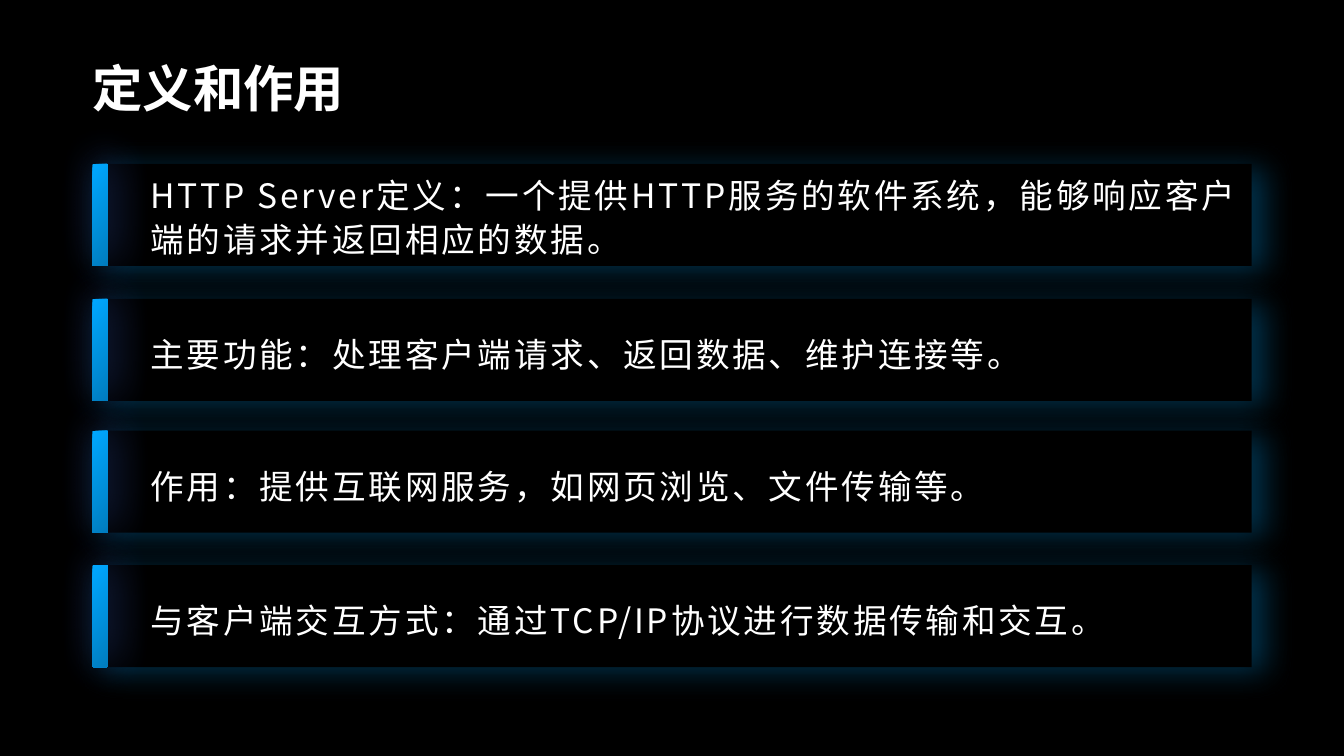
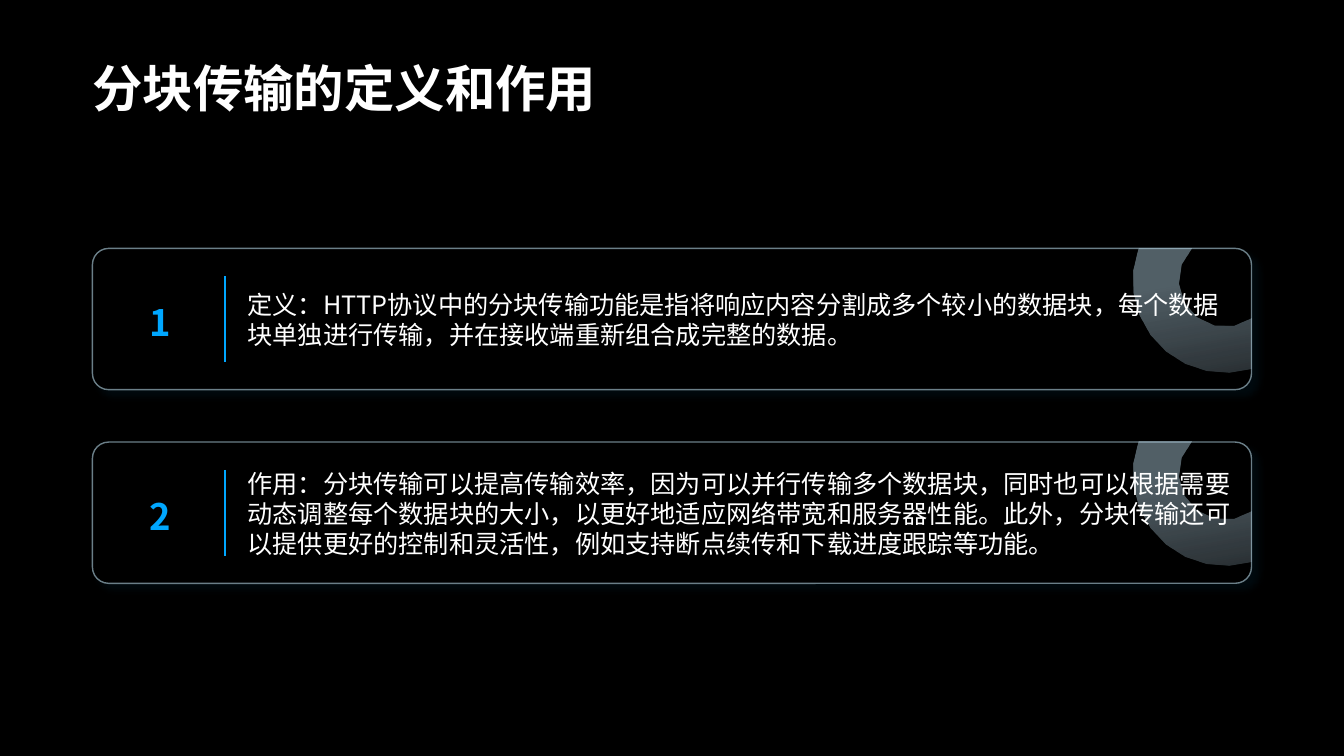
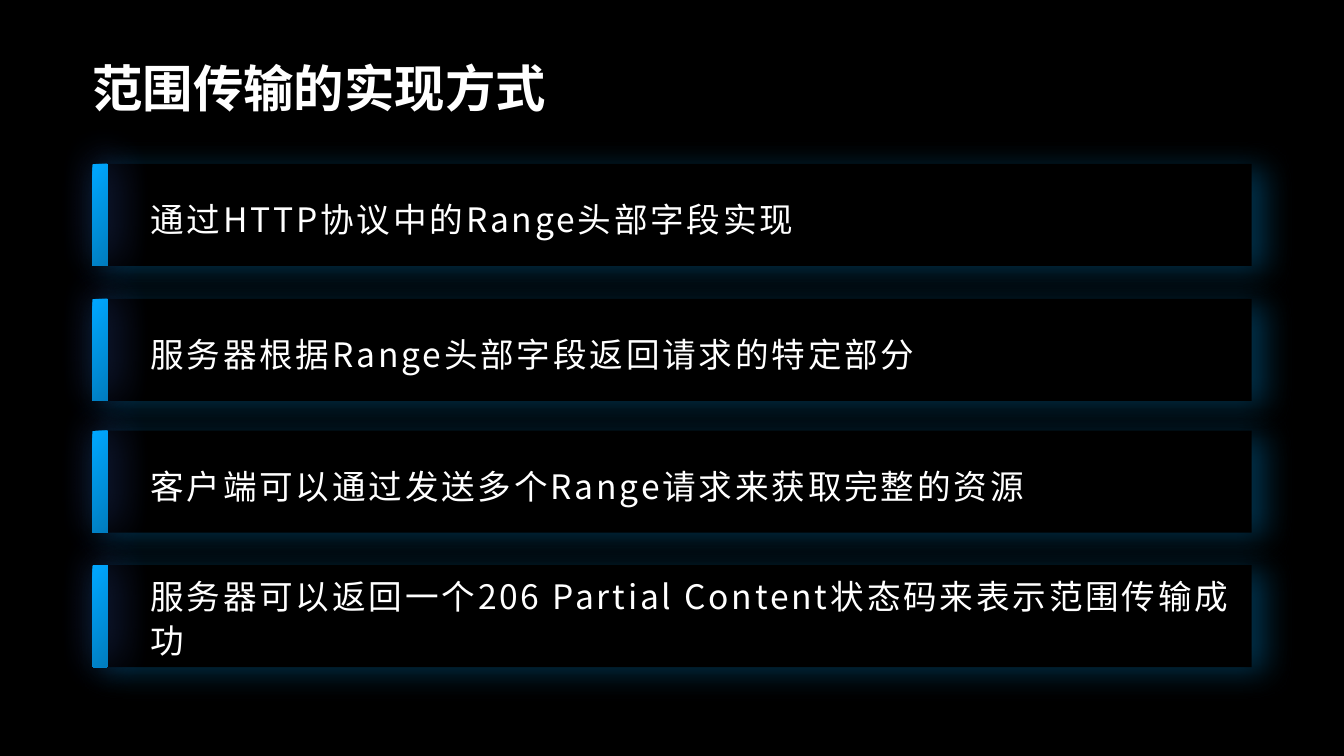
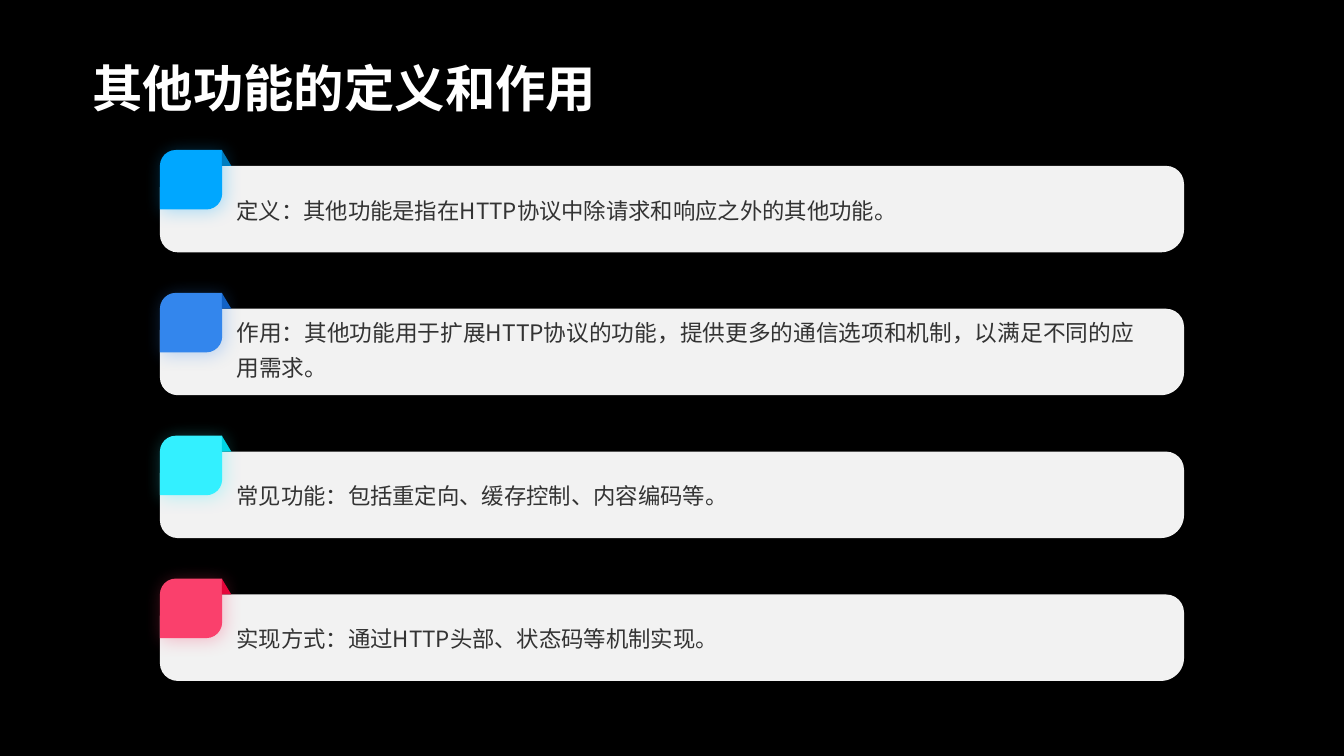
from dataclasses import dataclass
from math import acos, asin, cos, pi, sin

from lxml.etree import SubElement as Sub
from pptx import Presentation as Deck
from pptx.dml.color import RGBColor as RGB
from pptx.enum.shapes import MSO_CONNECTOR as LINK, MSO_SHAPE as FORM
from pptx.enum.text import MSO_ANCHOR as ANCHOR, PP_ALIGN as ALIGN
from pptx.oxml.ns import qn
from pptx.util import Cm, Pt


@dataclass(frozen=True)
class Theme:
    # Colours
    black: str = "000000"
    white: str = "FFFFFF"
    ink: str = "333333"
    panel: str = "F2F2F2"
    blue: str = "00A7FF"
    deep: str = "007DBF"
    haze: str = "4575F0"
    edge: str = "6B7F88"
    mist: str = "CCEDFF"
    # Tab and fold colours
    tabs: tuple = (("00A7FF", "007DBF"), ("3386ED", "1262C6"),
                   ("33F0FF", "00D5E5"), ("FA406C", "E5063B"))
    # Fonts and type sizes
    font: str = "Noto Sans CJK SC"
    body: str = "Noto Sans CJK JP"
    head: str = "Arial"
    title: float = 36
    row: float = 24
    count: float = 26
    text: float = 18
    note: float = 16
    dense: float = 16.2
    # Shared left edge and width, in cm
    left: float = 2.33
    wide: float = 29.21


T = Theme()

ROLES = [
    ("HTTP Server定义：一个提供HTTP服务的软件系统，能够响应客户端的请求并返回相应的数据。", 1.1),
    ("主要功能：处理客户端请求、返回数据、维护连接等。", 1.2),
    ("作用：提供互联网服务，如网页浏览、文件传输等。", 1.2),
    ("与客户端交互方式：通过TCP/IP协议进行数据传输和交互。", 1.2),
]
CHUNKS = [
    "定义：HTTP协议中的分块传输功能是指将响应内容分割成多个较小的数据块，"
    "每个数据块单独进行传输，并在接收端重新组合成完整的数据。",
    "作用：分块传输可以提高传输效率，因为可以并行传输多个数据块，"
    "同时也可以根据需要动态调整每个数据块的大小，以更好地适应网络带宽和服务器性能。"
    "此外，分块传输还可以提供更好的控制和灵活性，例如支持断点续传和下载进度跟踪等功能。",
]
RANGES = [
    ("通过HTTP协议中的Range头部字段实现", 1.2),
    ("服务器根据Range头部字段返回请求的特定部分", 1.2),
    ("客户端可以通过发送多个Range请求来获取完整的资源", 1.2),
    ("服务器可以返回一个206 Partial Content状态码来表示范围传输成功", 1.1),
]
OTHERS = [
    ("定义：其他功能是指在HTTP协议中除请求和响应之外的其他功能。", T.note, 1.5),
    ("作用：其他功能用于扩展HTTP协议的功能，提供更多的通信选项和机制，以满足不同的应用需求。",
     T.dense, 1.28),
    ("常见功能：包括重定向、缓存控制、内容编码等。", T.note, 1.5),
    ("实现方式：通过HTTP头部、状态码等机制实现。", T.note, 1.5),
]


# Basic elements
def write(slide, text, box, size=T.text, font=T.font, color=T.white, bold=False,
          align=ALIGN.LEFT, lead=None, after=0, track=0,
          pad=(0.25, 0.13, 0.25, 0.13)):
    """Add a text box; pad is left, top, right, bottom in cm."""
    frame = slide.shapes.add_textbox(*map(Cm, box)).text_frame
    frame.word_wrap = True
    frame.vertical_anchor = ANCHOR.MIDDLE
    (frame.margin_left, frame.margin_top,
     frame.margin_right, frame.margin_bottom) = map(Cm, pad)
    para = frame.paragraphs[0]
    para.alignment = align
    para.space_after = Pt(after)
    if lead:
        para.line_spacing = lead
    run = para.add_run()
    run.text = text
    run.font.name, run.font.size, run.font.bold = font, Pt(size), bold
    run.font.color.rgb = RGB.from_string(color)
    props = run._r.get_or_add_rPr()
    props.set("lang", "zh-CN")
    if track:
        props.set("spc", str(track * 100))
    # East Asian glyphs always come from a CJK face
    Sub(props, qn("a:ea"), typeface=T.font if font == T.head else font)


def glow(shape, color, alpha, blur, dist, angle):
    """Give a shape an outer shadow; alpha in percent, blur and dist in pt."""
    effects = shape.element.spPr.find(qn("a:effectLst"))
    outer = Sub(effects, qn("a:outerShdw"), blurRad=str(Pt(blur)),
                dist=str(Pt(dist)), dir=str(angle * 60000),
                algn="ctr", rotWithShape="0")
    tint = Sub(outer, qn("a:srgbClr"), val=color)
    Sub(tint, qn("a:alpha"), val=str(alpha * 1000))


def paint(shape, fill=None, line=None):
    shape.shadow.inherit = False
    if fill:
        shape.fill.solid()
        shape.fill.fore_color.rgb = RGB.from_string(fill)
    if line:
        shape.line.color.rgb = RGB.from_string(line)
        shape.line.width = Pt(1)
    else:
        shape.line.fill.background()


def fade(shape, stops, angle):
    """Fill with a linear gradient of (colour, place, opacity) stops."""
    shape.fill.gradient()
    shape.fill.gradient_angle = angle
    for stop, (color, place, alpha) in zip(shape.fill.gradient_stops, stops):
        stop.color.rgb = RGB.from_string(color)
        stop.position = place
    tints = shape.element.spPr.find(qn("a:gradFill")).iter(qn("a:srgbClr"))
    for tint, (color, place, alpha) in zip(tints, stops):
        if alpha < 100:
            Sub(tint, qn("a:alpha"), val=str(alpha * 1000))


def block(slide, form, box, fill=None, line=None, bends=(), shade=None):
    shape = slide.shapes.add_shape(form, *map(Cm, box))
    for i, bend in enumerate(bends):
        shape.adjustments[i] = bend
    paint(shape, fill, line)
    if shade:
        glow(shape, *shade)
    return shape


def rule(slide, x, top, end):
    line = slide.shapes.add_connector(LINK.STRAIGHT, Cm(x), Cm(top), Cm(x), Cm(end))
    line.line.color.rgb = RGB.from_string(T.blue)
    line.line.width = Pt(1.25)
    Sub(line.element.spPr, qn("a:effectLst"))


def arc(x, y, r, start, end, steps):
    """Points on a circle, from start to end in radians."""
    turns = (start + (end - start) * i / steps for i in range(steps + 1))
    return [(Cm(x + r * cos(t)), Cm(y + r * sin(t))) for t in turns]


def ring(slide, right, top):
    """Draw a ring cut off by the card's top and right edges."""
    dx, dy, big, small = 0.67, 0.81, 2.31, 1.15
    x, y = right - dx, top + dy
    outer = arc(x, y, big, acos(dx / big), pi + asin(dy / big), 9)
    inner = arc(x, y, small, pi + asin(dy / small), acos(dx / small), 7)
    first, *rest = outer + inner
    path = slide.shapes.build_freeform(*first)
    path.add_line_segments(rest, close=True)
    shape = path.convert_to_shape()
    paint(shape)
    fade(shape, [(T.mist, 0, 20), (T.mist, 0.7, 40)], 100)


# Slide parts
def start(deck, title):
    slide = deck.slides.add_slide(deck.slide_layouts[6])
    write(slide, title, (T.left, 1.01, T.wide, 2.39), size=T.title,
          font=T.head, bold=True, pad=(0, 0, 0, 0))
    return slide


def strips(slide, rows):
    """Glowing black strips with a blue bar at the left."""
    high = 2.57
    tops = (4.13, 7.53, 10.85, 14.24)
    for top in tops:
        block(slide, FORM.ROUNDED_RECTANGLE, (T.left, top, T.wide, high), T.black,
              bends=[0], shade=(T.blue, 30, 22, 9, 17))
        bar = block(slide, FORM.ROUNDED_RECTANGLE, (T.left, top, 0.39, high),
                    bends=[0.08], shade=(T.haze, 45, 30, 5, 315))
        fade(bar, [(T.blue, 0, 100), (T.deep, 1, 100)], 320)
    for i, (top, (text, lead)) in enumerate(zip(tops, rows)):
        write(slide, text, (3.54, top, 27.97, high), size=T.row, lead=lead,
              track=2, pad=(0.25, 0.13, 0.25 * (i % 2), 0.13))


def cards(slide, texts):
    """Numbered outline cards with a ring in the corner."""
    for i, text in enumerate(texts):
        top = 6.26 + 4.88 * i
        block(slide, FORM.ROUNDED_RECTANGLE, (T.left, top, T.wide, 3.56), T.black,
              T.edge, bends=[0.115], shade=(T.blue, 5, 5, 5, 45))
        ring(slide, T.left + T.wide, top)
        write(slide, str(i + 1), (2.41, top + 0.41, 3.25, 2.77), size=T.count,
              color=T.blue, bold=True, align=ALIGN.CENTER, track=3,
              pad=(0.25, 0.13, 0.25, 0))
        write(slide, text, (5.99, top + 0.41, 25.55, 2.77), font=T.body, after=10)
        rule(slide, 5.67, top + 0.7, top + 2.86)


def notes(slide, rows):
    """Light panels, each with a folded colour tab."""
    left = 4.03
    for i, ((text, size, lead), (tab, fold)) in enumerate(zip(rows, T.tabs)):
        top = 4.18 + 3.6 * i
        block(slide, FORM.ROUND_2_DIAG_RECTANGLE, (left, top, 25.81, 2.18), T.panel,
              bends=[0.267, 0.208], shade=(T.black, 23, 20, 3, 107))
        block(slide, FORM.ROUND_2_DIAG_RECTANGLE, (left, top - 0.4, 1.57, 1.5), tab,
              bends=[0.267, 0], shade=(tab, 31, 13, 2, 45))
        block(slide, FORM.RIGHT_TRIANGLE, (left + 1.56, top - 0.4, 0.24, 0.4), fold)
        write(slide, text, (5.71, top + 0.03, 23.32, 2.13), size=size, color=T.ink,
              lead=lead, pad=(0.25, 0, 0.25, 0.3))


def main():
    deck = Deck()
    deck.slide_width, deck.slide_height = Cm(33.87), Cm(19.05)
    # One black background for every slide
    back = deck.slide_master.background.fill
    back.solid()
    back.fore_color.rgb = RGB.from_string(T.black)

    strips(start(deck, "定义和作用"), ROLES)
    cards(start(deck, "分块传输的定义和作用"), CHUNKS)
    strips(start(deck, "范围传输的实现方式"), RANGES)
    notes(start(deck, "其他功能的定义和作用"), OTHERS)
    deck.save("out.pptx")


if __name__ == "__main__":
    main()
